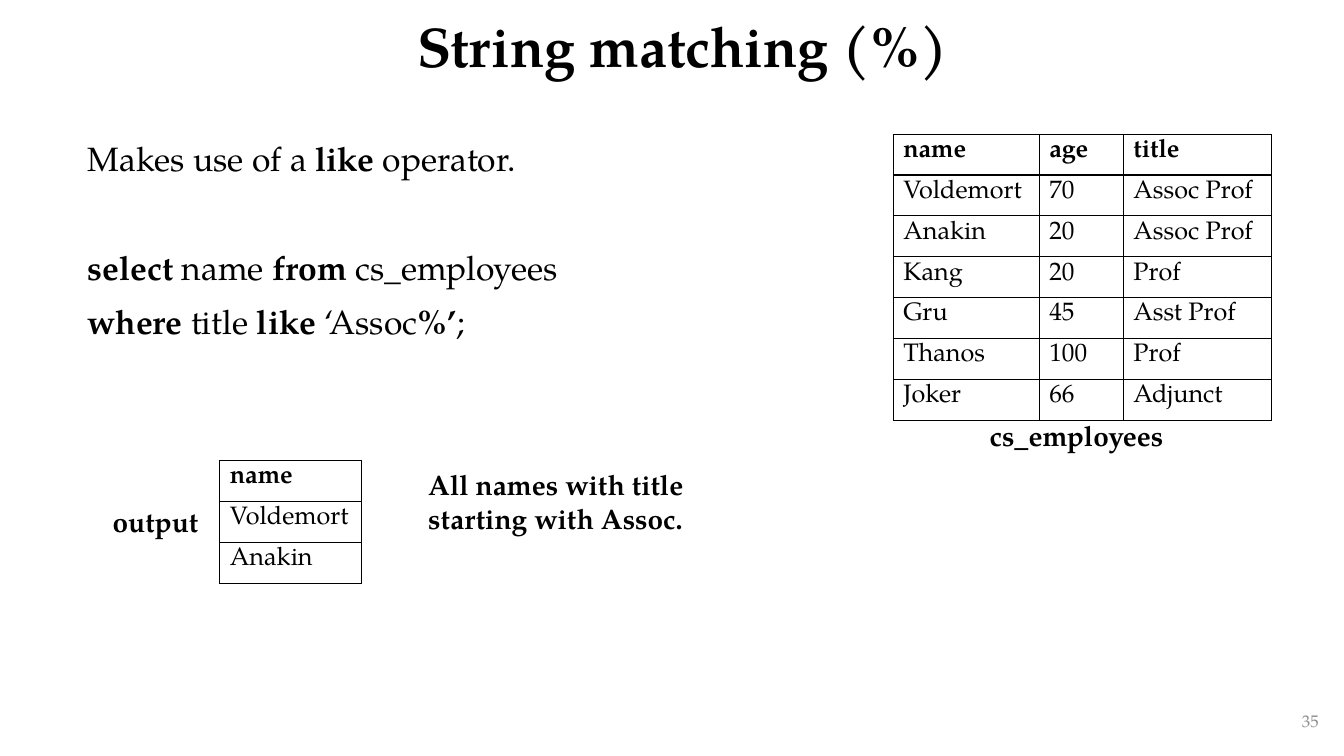
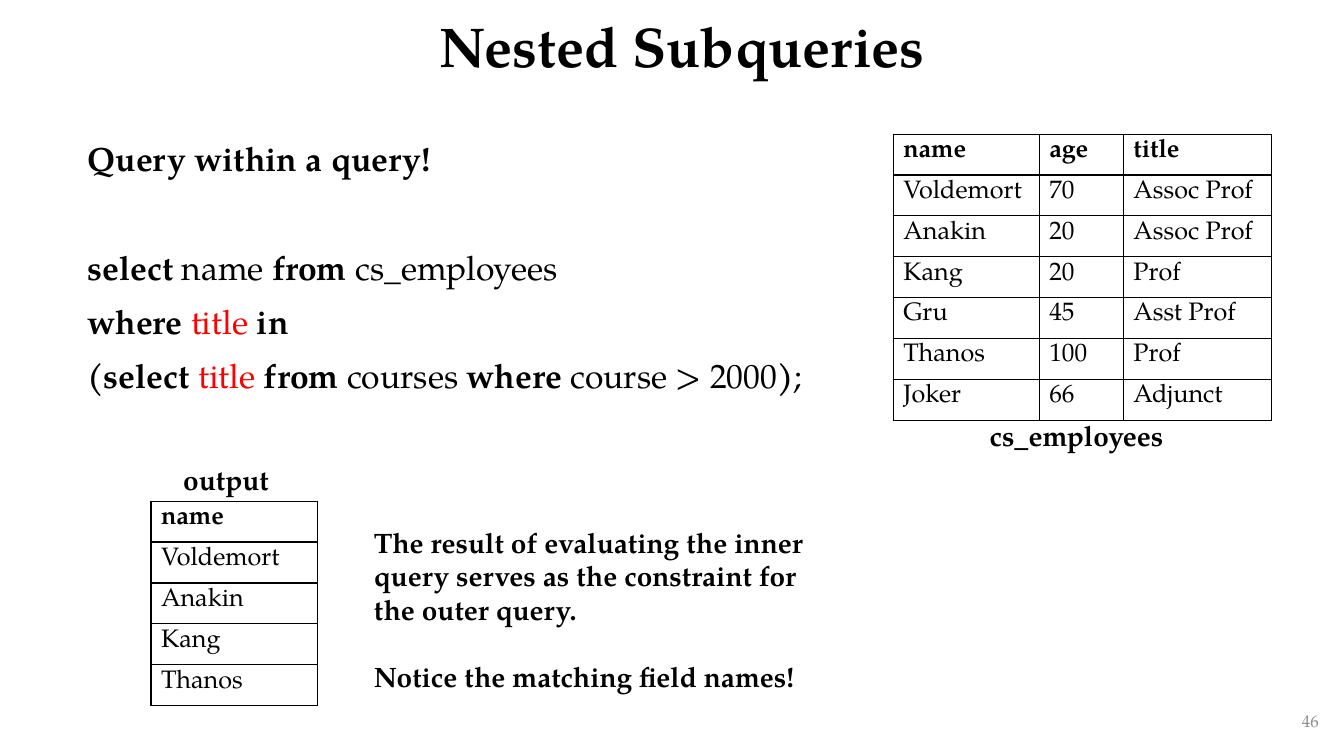
from lxml import etree
from pptx import Presentation
from pptx.dml.color import RGBColor
from pptx.enum import text as en
from pptx.oxml import ns
from pptx.util import Pt

STAFF = [
    ("name", "age", "title"),
    ("Voldemort", "70", "Assoc Prof"),
    ("Anakin", "20", "Assoc Prof"),
    ("Kang", "20", "Prof"),
    ("Gru", "45", "Asst Prof"),
    ("Thanos", "100", "Prof"),
    ("Joker", "66", "Adjunct"),
]


def rgb(code):
    return RGBColor.from_string(code)


def write(frame, *lines, size=20, color="000000", bold=False, align="LEFT",
          gap=0, skips=(), skip=0, lead=None):
    """Fill a frame; *...* toggles bold, |...| turns red.

    gap is the space before each line, skip that before the lines in skips.
    """
    for i, line in enumerate(lines):
        para = frame.paragraphs[0] if i == 0 else frame.add_paragraph()
        para.alignment = getattr(en.PP_ALIGN, align)
        if lead:
            para.line_spacing = lead
        if i:
            para.space_before = Pt(skip if i in skips else gap)
        for j, part in enumerate(line.split("*")):
            for k, piece in enumerate(part.split("|")):
                if not piece:
                    continue
                run = para.add_run()
                run.text = piece
                font = run.font
                font.name, font.size = Deck.face, Pt(size)
                font.bold = bold != (j % 2 == 1)
                font.color.rgb = rgb(Deck.red if k % 2 else color)


def frame_cell(cell, color):
    """Draw a thin line on all four sides of a cell."""
    props = cell._tc.get_or_add_tcPr()
    for i, side in enumerate(("lnL", "lnR", "lnT", "lnB")):
        line = etree.Element(ns.qn("a:" + side), w=str(Pt(1)))
        fill = etree.SubElement(line, ns.qn("a:solidFill"))
        etree.SubElement(fill, ns.qn("a:srgbClr"), val=color)
        props.insert(i, line)


class Deck:
    face = "TeX Gyre Pagella"
    ink, red, gray = "000000", "FF0000", "8C8C8C"
    row = 29.2

    def __init__(self):
        self.prs = Presentation()
        self.prs.slide_width, self.prs.slide_height = Pt(960), Pt(540)
        self.slide = None

    def page(self, title, number):
        """Start a slide with its title, number and the staff table."""
        self.slide = self.prs.slides.add_slide(self.prs.slide_layouts[6])
        self.text(73.4, 0, 828, 70.6, title, mid=True, size=40, bold=True,
                  align="CENTER", lead=0.9)
        self.text(733, 500.4, 216, 28.8, number, mid=True, size=12,
                  color=self.gray, align="RIGHT")
        self.table(638, 95.8, (104.4, 60, 106), STAFF)
        self.label(699.8, 295.2, 145, "cs_employees")

    def text(self, x, y, w, h, *lines, mid=False, **look):
        box = self.slide.shapes.add_textbox(Pt(x), Pt(y), Pt(w), Pt(h))
        frame = box.text_frame
        frame.word_wrap = True
        frame.vertical_anchor = (en.MSO_ANCHOR.MIDDLE if mid
                                 else en.MSO_ANCHOR.TOP)
        write(frame, *lines, **look)

    def body(self, *lines):
        """Place the main lines, with a wider gap after the first."""
        self.text(55.4, 95, 882, 402, *lines, size=24, align="JUSTIFY",
                  gap=10, skips=(1,), skip=48.7)

    def label(self, x, y, w, *lines, h=31.5):
        """Place a bold note, its paragraphs one line apart."""
        self.text(x, y, w, h, *lines, bold=True, gap=24)

    def table(self, x, y, cols, rows):
        shape = self.slide.shapes.add_table(
            len(rows), len(cols), Pt(x), Pt(y), Pt(sum(cols)),
            Pt(self.row * len(rows)))
        grid = shape.table
        grid.first_row = grid.horz_banding = False
        for col, width in zip(grid.columns, cols):
            col.width = Pt(width)
        for r, row in enumerate(rows):
            grid.rows[r].height = Pt(self.row)
            for c, value in enumerate(row):
                cell = grid.cell(r, c)
                cell.fill.background()
                frame_cell(cell, self.ink)
                write(cell.text_frame, value, size=18, bold=r == 0)

    def output(self, x, y, w, *names):
        self.table(x, y, (w,), [(name,) for name in ("name", *names)])


def main():
    deck = Deck()

    deck.page("String matching (%)", "35")
    deck.body("Makes use of a *like* operator.",
              "*select *name *from *cs_employees",
              "*where *title *like* ‘Assoc*%’*;")
    deck.label(73.4, 357, 87, "output")
    deck.output(157, 329, 101, "Voldemort", "Anakin")
    deck.label(298.8, 330.5, 258.5,
               "All names with title starting with Assoc.", h=55.5)

    deck.page("Nested Subqueries", "46")
    deck.body("*Query within a query!*",
              "*select *name* from *cs_employees",
              "*where *|title|* in *",
              "*(select *|title|* from *courses* where *course > 2000*)*;")
    deck.label(123.8, 327, 87, "output")
    deck.output(107.8, 358, 119, "Voldemort", "Anakin", "Kang", "Thanos")
    deck.label(260, 371.5, 346.3,
               "The result of evaluating the inner query serves as the "
               "constraint for the outer query.",
               "Notice the matching field names!", h=128)

    deck.prs.save("out.pptx")


if __name__ == "__main__":
    main()
